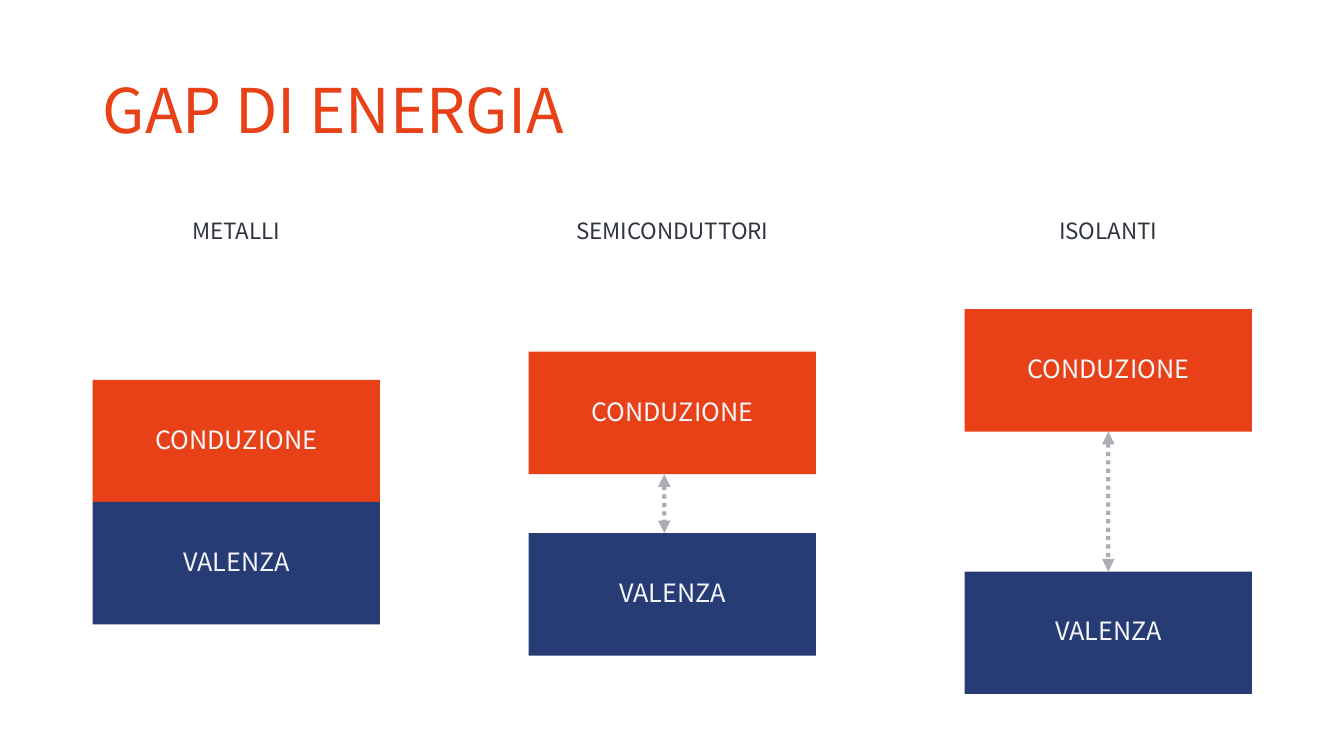
from dataclasses import dataclass
from typing import Any

from lxml.etree import SubElement
from pptx import Presentation
from pptx.dml.color import RGBColor
from pptx.enum.dml import MSO_LINE
from pptx.enum.shapes import MSO_CONNECTOR, MSO_SHAPE
from pptx.enum.text import MSO_ANCHOR, MSO_AUTO_SIZE, PP_ALIGN
from pptx.oxml.ns import qn
from pptx.util import Inches, Pt

WIDE, HIGH = Inches(13.33), Inches(7.5)
LEFT, PITCH, BAND, THICK = 6.9, 32.44, 21.37, 16.2
FONT = "Noto Sans CJK JP"
RED, BLUE, INK, PALE = "E94117", "273C75", "2F3540", "F5F7FA"


@dataclass
class Solid:
    name: str
    upper: float
    lower: float
    gap: bool = True
    shift: float = 0


SOLIDS = [
    Solid("METALLI", 50.27, 66.4, gap=False),
    Solid("SEMICONDUTTORI", 46.53, 70.53, shift=-0.6),
    Solid("ISOLANTI", 40.9, 75.6),
]


def across(share: float) -> int:
    return round(WIDE * share / 100)


def down(share: float) -> int:
    return round(HIGH * share / 100)


def paint(code: str) -> RGBColor:
    return RGBColor.from_string(code)


def apply(item: Any, values: dict[str, Any]) -> None:
    for key, value in values.items():
        setattr(item, key, value)


def place(left: float, top: float, width: float, height: float) -> tuple[int, int, int, int]:
    return across(left), down(top), across(width), down(height)


def write(shape: Any, text: str, size: int, color: str, align: Any = PP_ALIGN.CENTER,
          space: float = 0.9, fit: Any = MSO_AUTO_SIZE.NONE) -> None:
    frame = shape.text_frame
    frame.text = text
    apply(frame, {"word_wrap": True, "auto_size": fit, "vertical_anchor": MSO_ANCHOR.MIDDLE})
    line = frame.paragraphs[0]
    apply(line, {"alignment": align, "line_spacing": space})
    apply(line.font, {"name": FONT, "size": Pt(size)})
    line.font.color.rgb = paint(color)


def band(slide: Any, text: str, left: float, top: float, fill: str) -> Any:
    box = slide.shapes.add_shape(MSO_SHAPE.RECTANGLE, *place(left, top, BAND, THICK))
    box.shadow.inherit = False
    box.fill.solid()
    box.fill.fore_color.rgb = paint(fill)
    box.line.fill.background()
    write(box, text, 18, PALE)
    return box


def label(slide: Any, text: str, left: float) -> None:
    box = slide.shapes.add_textbox(*place(left, 28, BAND, 4.93))
    write(box, text, 16, INK, space=1.0, fit=MSO_AUTO_SIZE.SHAPE_TO_FIT_TEXT)


def arrow(slide: Any, upper: Any, lower: Any, shift: float) -> None:
    mid = upper.left + upper.width // 2 + across(shift)
    link = slide.shapes.add_connector(
        MSO_CONNECTOR.STRAIGHT, mid, upper.top + upper.height, mid, lower.top)
    if not shift:
        link.begin_connect(upper, 2)
        link.end_connect(lower, 0)
    link.line.color.rgb = paint(INK)
    apply(link.line, {"width": Pt(3), "dash_style": MSO_LINE.ROUND_DOT})
    props = link._element.spPr
    stroke = props.find(qn("a:ln"))
    SubElement(stroke.find(".//" + qn("a:srgbClr")), qn("a:alpha"), val="40000")
    for end in ("a:headEnd", "a:tailEnd"):
        SubElement(stroke, qn(end), type="triangle")
    SubElement(props, qn("a:effectLst"))


def main() -> None:
    deck = Presentation()
    apply(deck, {"slide_width": WIDE, "slide_height": HIGH})
    slide = deck.slides.add_slide(deck.slide_layouts[5])
    title = slide.shapes.title
    apply(title, dict(zip(("left", "top", "width", "height"), place(LEFT, 5.33, 86.25, 19.33))))
    write(title, "GAP DI ENERGIA", 44, RED, align=PP_ALIGN.LEFT)
    for index, solid in enumerate(SOLIDS):
        left = LEFT + index * PITCH
        label(slide, solid.name, left)
        upper = band(slide, "CONDUZIONE", left, solid.upper, RED)
        lower = band(slide, "VALENZA", left, solid.lower, BLUE)
        if solid.gap:
            arrow(slide, upper, lower, solid.shift)
    deck.save("out.pptx")


if __name__ == "__main__":
    main()
